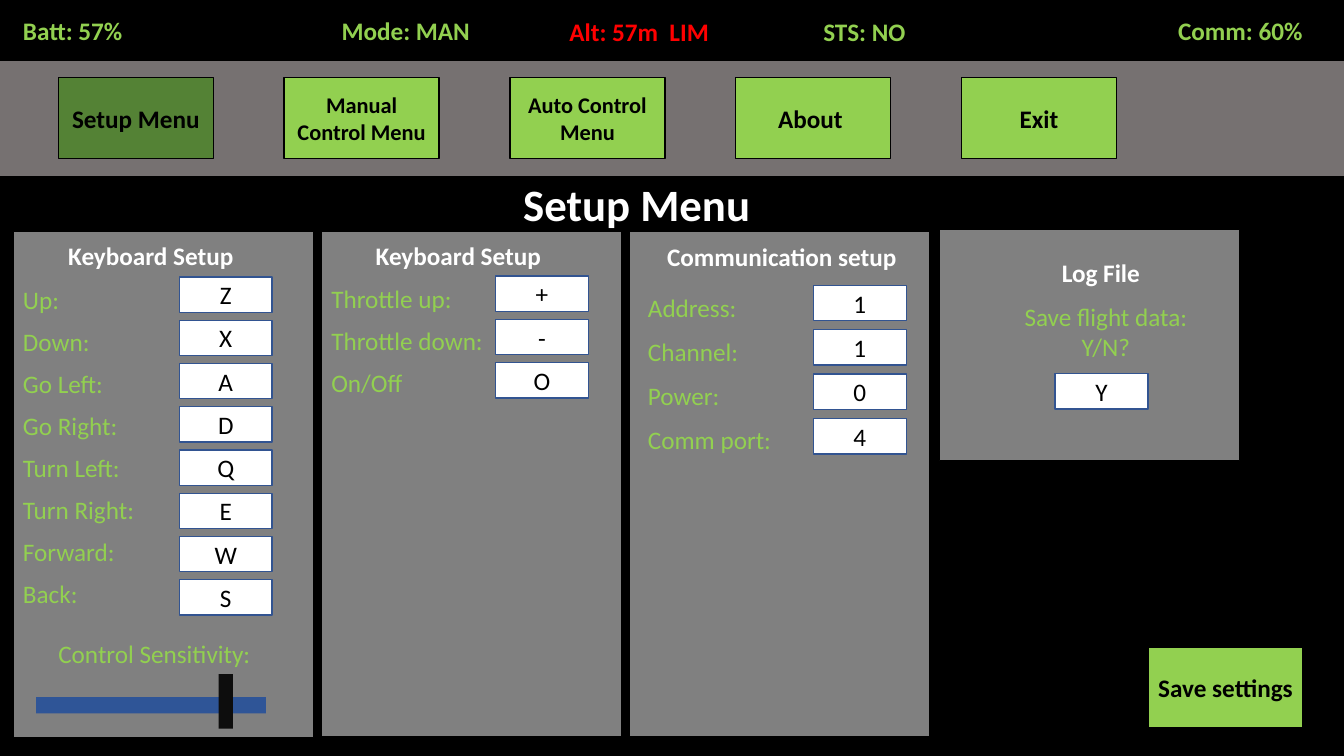
from pptx import Presentation
from pptx import util as u
from pptx.dml.color import RGBColor
from pptx.enum import shapes, text

BLACK = RGBColor(0x00, 0x00, 0x00)
WHITE = RGBColor(0xFF, 0xFF, 0xFF)
LIME = RGBColor(0x92, 0xD0, 0x50)
DARK_GREEN = RGBColor(0x54, 0x82, 0x35)
RED = RGBColor(0xFF, 0x00, 0x00)
PANEL_GREY = RGBColor(0x80, 0x80, 0x80)
BAR_GREY = RGBColor(0x76, 0x71, 0x71)
FIELD_LINE = RGBColor(0x32, 0x54, 0x91)
SLIDER_BLUE = RGBColor(0x2F, 0x55, 0x97)
THUMB = RGBColor(0x0D, 0x0D, 0x0D)

SLIDE_W, SLIDE_H = 33.87, 19.05
PANEL_W, PANEL_H = 7.57, 12.75
LEFT, CENTER = text.PP_ALIGN.LEFT, text.PP_ALIGN.CENTER
TOP, MIDDLE = text.MSO_ANCHOR.TOP, text.MSO_ANCHOR.MIDDLE


def cm(*values):
    return [u.Cm(v) for v in values]


def write(tf, words, size=18, color=LIME, bold=False, align=LEFT, anchor=TOP):
    tf.word_wrap = True
    tf.auto_size = text.MSO_AUTO_SIZE.NONE
    tf.vertical_anchor = anchor
    for i, line in enumerate(words.split("\n")):
        p = tf.paragraphs[0] if i == 0 else tf.add_paragraph()
        p.alignment = align
        r = p.add_run()
        r.text = line
        r.font.name = "Calibri"
        r.font.size = u.Pt(size)
        r.font.bold = bold
        r.font.color.rgb = color


def label(s, x, y, w, words, h=1.02, **fmt):
    write(s.shapes.add_textbox(*cm(x, y, w, h)).text_frame, words, **fmt)


def rect(s, x, y, w, h, fill, line=None):
    sp = s.shapes.add_shape(shapes.MSO_SHAPE.RECTANGLE, *cm(x, y, w, h))
    sp.shadow.inherit = False
    sp.fill.solid()
    sp.fill.fore_color.rgb = fill
    if line is None:
        sp.line.fill.background()
    else:
        sp.line.color.rgb = line
        sp.line.width = u.Pt(1)
    return sp


def field(s, x, y, value):
    sp = rect(s, x, y, 2.34, 0.89, WHITE, FIELD_LINE)
    write(sp.text_frame, value, color=BLACK, align=CENTER, anchor=MIDDLE)


def button(s, x, y, words, fill=LIME, size=18):
    sp = rect(s, x, y, 3.91, 2.03, fill, BLACK)
    write(sp.text_frame, words, size=size, color=BLACK, bold=True,
          align=CENTER, anchor=MIDDLE)


def heading(s, words):
    title = s.shapes.title
    title.left, title.top, title.width, title.height = cm(12.93, 4.32, 7.67, 1.63)
    write(title.text_frame, words, size=32, color=WHITE, bold=True)
    title.element.getparent().append(title.element)


def panel(s, x, y, h, name, name_x, name_y, name_w):
    rect(s, x, y, PANEL_W, h, PANEL_GREY, BLACK)
    label(s, x + name_x, y + name_y, name_w, name, color=WHITE, bold=True)


def settings(s, x, y, rows, label_x, field_x, first=1.14, label_step=1.06, field_step=1.09):
    for i, (name, value) in enumerate(rows):
        label(s, x + label_x, y + first + 0.05 + i * label_step, 4.7, name)
        field(s, x + field_x, y + first + i * field_step, value)


def movement_panel(s, x, y):
    panel(s, x, y, PANEL_H, "Keyboard Setup", 1.14, 0.1, 4.67)
    rows = [("Up:", "Z"), ("Down:", "X"), ("Go Left:", "A"), ("Go Right:", "D"),
            ("Turn Left:", "Q"), ("Turn Right:", "E"), ("Forward:", "W"), ("Back:", "S")]
    settings(s, x, y, rows, 0, 4.19)
    label(s, x + 0.89, y + 10.11, 5.66, "Control Sensitivity:")
    rect(s, x + 0.58, y + 11.73, 5.79, 0.41, SLIDER_BLUE)
    rect(s, x + 5.18, y + 11.15, 0.36, 1.37, THUMB)


def throttle_panel(s, x, y):
    panel(s, x, y, PANEL_H, "Keyboard Setup", 1.12, 0.1, 4.67)
    rows = [("Throttle up:", "+"), ("Throttle down:", "-"), ("On/Off", "O")]
    settings(s, x, y, rows, 0, 4.39)


def communication_panel(s, x, y):
    panel(s, x, y, PANEL_H, "Communication setup", 0.71, 0.13, 7.19)
    rows = [("Address:", "1"), ("Channel:", "1"), ("Power:", "0"), ("Comm port:", "4")]
    settings(s, x, y, rows, 0.23, 4.65, first=1.37, label_step=1.11, field_step=1.12)


def log_panel(s, x, y):
    panel(s, x, y, 5.82, "Log File", 2.84, 0.56, 3.61)
    label(s, x + 1.52, y + 1.68, 5.36, "Save flight data:\nY/N?", h=1.8, align=CENTER)
    field(s, x + 2.92, y + 3.63, "Y")


def menu_bar(s, x, y):
    rect(s, x, y, SLIDE_W, 2.9, BAR_GREY, BAR_GREY)
    items = [("Setup Menu", DARK_GREEN, 18), ("Manual Control Menu", LIME, 16),
             ("Auto Control Menu", LIME, 16), ("About ", LIME, 18), ("Exit", LIME, 18)]
    for i, (words, fill, size) in enumerate(items):
        button(s, x + 1.47 + i * 5.69, y + 0.44, words, fill, size)


def status_bar(s, x, y):
    rect(s, x, y, SLIDE_W, 1.52, BLACK, BLACK)
    items = [(0.33, 0.25, "Batt: 57%", LIME), (8.36, 0.25, "Mode: MAN", LIME),
             (14.1, 0.28, "Alt: 57m  LIM", RED), (20.5, 0.28, "STS: NO", LIME),
             (29.44, 0.25, "Comm: 60%", LIME)]
    for dx, dy, words, color in items:
        label(s, x + dx, y + dy, 4.42, words, color=color, bold=True)


prs = Presentation()
prs.slide_width, prs.slide_height = cm(SLIDE_W, SLIDE_H)
s = prs.slides.add_slide(prs.slide_layouts[5])
rect(s, 0, 4.42, SLIDE_W, 14.63, BLACK, BLACK)
heading(s, "Setup Menu")
movement_panel(s, 0.33, 5.84)
communication_panel(s, 15.85, 5.82)
button(s, 28.93, 16.31, "Save settings")
log_panel(s, 23.67, 5.79)
throttle_panel(s, 8.1, 5.82)
menu_bar(s, 0, 1.52)
status_bar(s, 0, 0)
prs.save("out.pptx")
